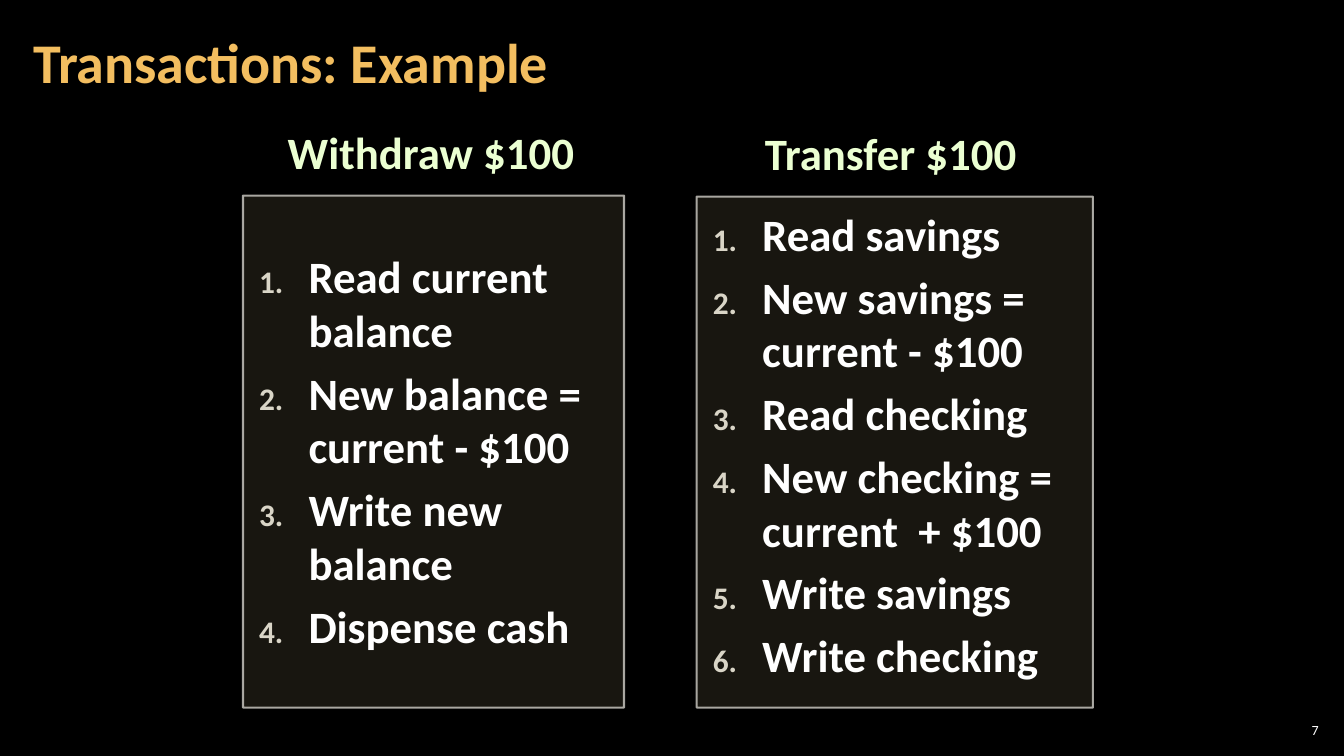
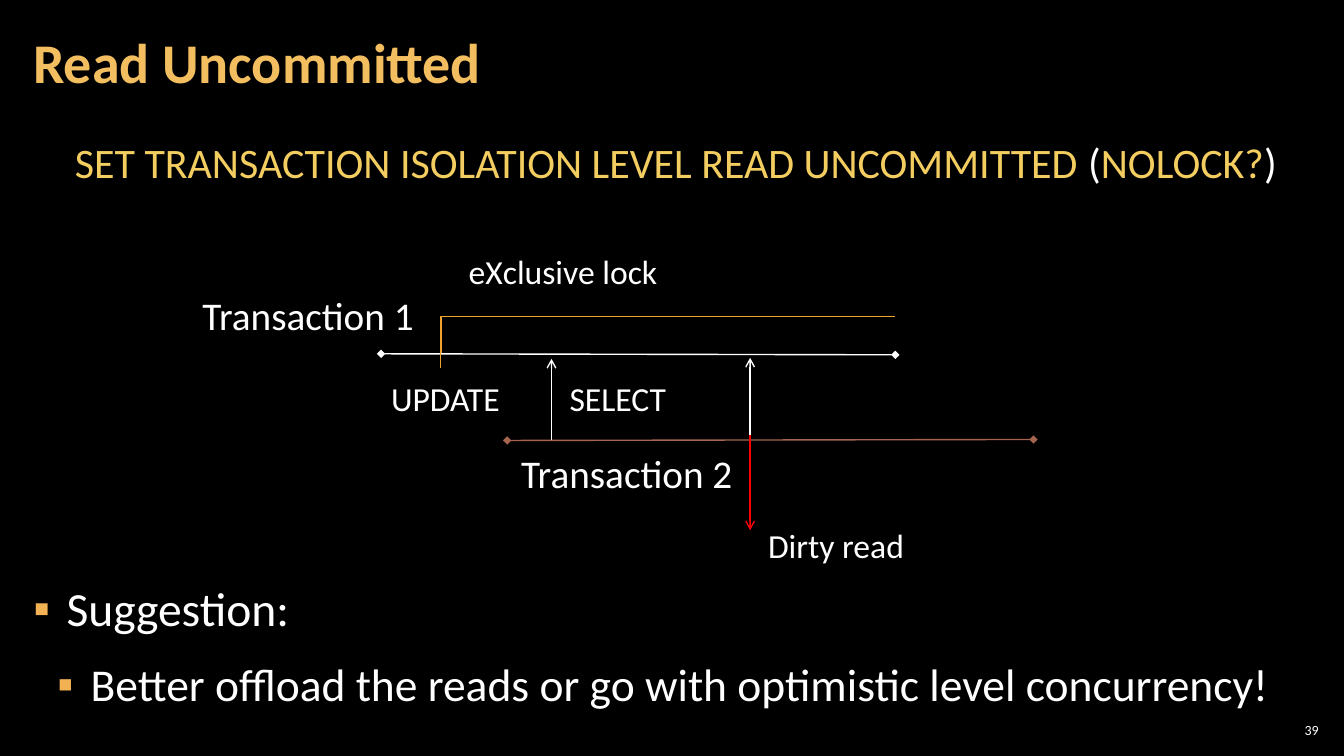
"""Build two dark slides on database transactions and isolation levels."""
from dataclasses import dataclass

from lxml.etree import SubElement
from pptx import Presentation
from pptx.dml.color import RGBColor
from pptx.enum.shapes import MSO_CONNECTOR
from pptx.enum.text import MSO_ANCHOR, MSO_AUTO_SIZE, PP_ALIGN
from pptx.oxml.ns import qn
from pptx.util import Pt

PX = 9144
LEFT, CENTER, RIGHT = PP_ALIGN.LEFT, PP_ALIGN.CENTER, PP_ALIGN.RIGHT
TOP, MIDDLE = MSO_ANCHOR.TOP, MSO_ANCHOR.MIDDLE
STRAIGHT, ELBOW = MSO_CONNECTOR.STRAIGHT, MSO_CONNECTOR.ELBOW
TWO_CONTENT, COMPARISON = 3, 4


@dataclass(frozen=True)
class Theme:
    font: str = "Calibri"
    back: str = "000000"
    text: str = "FFFFFF"
    title: str = "F3BE60"
    heading: str = "EBFFD2"
    keyword: str = "F3CD60"
    panel: str = "7C7154"
    border: str = "ECEAE3"
    number: str = "D9D5C7"
    bullet: str = "F2B254"
    lock: str = "F0A22E"
    second: str = "A5644E"
    dirty: str = "FF0000"
    title_pt: float = 40
    list_pt: float = 34
    sublist_pt: float = 32.5
    panel_pt: float = 32
    command_pt: float = 30
    name_pt: float = 28
    label_pt: float = 24
    page_pt: float = 10


T = Theme()
SNUG = (12, 4, 12, 4)


def add(parent, tag, **attrs):
    return SubElement(parent, qn(tag), attrs)


def put_text(shape, box, paras, size, color=T.text, bold=False, align=LEFT, anchor=TOP,
             ins=(10, 5, 10, 5), spacing=1.0, before=0, after=0, bullet=None,
             margins=(0,), hang=0):
    shape.left, shape.top, shape.width, shape.height = [v * PX for v in box]
    tf = shape.text_frame
    tf.word_wrap, tf.auto_size, tf.vertical_anchor = True, MSO_AUTO_SIZE.NONE, anchor
    tf.margin_left, tf.margin_top, tf.margin_right, tf.margin_bottom = [v * PX for v in ins]
    for i, text in enumerate(paras):
        p = tf.add_paragraph() if i else tf.paragraphs[0]
        p.text = text
        pPr = p._p.get_or_add_pPr()
        pPr.set("marL", str(margins[min(i, len(margins) - 1)] * PX))
        pPr.set("indent", str(-hang * PX))
        if bullet:
            bullet_color, percent, font, tag, attrs = bullet
            add(add(pPr, "a:buClr"), "a:srgbClr", val=bullet_color)
            add(pPr, "a:buSzPct", val=str(percent * 1000))
            add(pPr, "a:buFont", typeface=font)
            add(pPr, tag, **attrs)
        else:
            add(pPr, "a:buNone")
        p.alignment, p.line_spacing = align, spacing
        p.space_before, p.space_after = Pt(before if i else 0), Pt(after)
        p.font.name, p.font.size, p.font.bold = T.font, Pt(size), bold
        p.font.color.rgb = RGBColor.from_string(color)
    return tf


prs = Presentation()
prs.slide_width, prs.slide_height = 1333 * PX, 750 * PX
back = prs.slide_master.background.fill
back.solid()
back.fore_color.rgb = RGBColor.from_string(T.back)

slides = []
for layout, title, page in [(COMPARISON, "Transactions: Example", "7"),
                            (TWO_CONTENT, "Read Uncommitted", "39")]:
    s = prs.slides.add_slide(prs.slide_layouts[layout])
    put_text(s.shapes.title, (21, 4, 1047, 121), [title], T.title_pt, T.title, bold=True,
             anchor=MIDDLE, ins=SNUG, spacing=0.9)
    put_text(s.shapes.add_textbox(0, 0, 0, 0), (1265, 714, 47, 21), [page], T.page_pt,
             align=RIGHT, anchor=MIDDLE, ins=(4, 4, 4, 4))
    slides.append(s)
example, uncommitted = slides

panels = [
    ("Withdraw $100", (244, 117, 367, 77), (241, 194, 378, 508), MIDDLE,
     ["Read current balance", "New balance = \ncurrent - $100", "Write new balance",
      "Dispense cash"]),
    ("Transfer $100", (691, 118, 385, 77), (691, 195, 393, 507), TOP,
     ["Read savings", "New savings =\ncurrent - $100", "Read checking",
      "New checking =\ncurrent  + $100", "Write savings", "Write checking"]),
]
numbers = (T.number, 70, T.font, "a:buAutoNum", {"type": "arabicPeriod"})
bodies = list(example.placeholders)[1:]
for heading, panel, (name, name_box, box, anchor, steps) in zip(bodies[::2], bodies[1::2], panels):
    put_text(heading, name_box, [name], T.panel_pt, T.heading, bold=True, align=CENTER,
             ins=SNUG, spacing=1.05, after=6)
    put_text(panel, box, steps, T.panel_pt, bold=True, anchor=anchor, ins=(16, 10, 16, 12),
             before=6.4, bullet=numbers, margins=(49,), hang=49)
    panel.fill.solid()
    panel.fill.fore_color.rgb = RGBColor.from_string(T.panel)
    panel.line.color.rgb = RGBColor.from_string(T.border)
    panel.line.width = Pt(1.5)
    for color, opacity in zip(panel._element.spPr.iter(qn("a:srgbClr")), (20, 70)):
        add(color, "a:alpha", val=str(opacity * 1000))

command, advice = list(uncommitted.placeholders)[1:]
tf = put_text(command, (21, 126, 1291, 50), [""], T.command_pt, align=CENTER, ins=SNUG,
              spacing=1.1, margins=(17,))
for text, color in [("SET TRANSACTION ISOLATION LEVEL READ UNCOMMITTED ", T.keyword),
                    ("(", T.text), ("NOLOCK?", T.keyword), (") ", T.text)]:
    r = tf.paragraphs[0].add_run()
    r.text = text
    r.font.color.rgb = RGBColor.from_string(color)

squares = (T.bullet, 100, "Arial", "a:buChar", {"char": "▪"})
tf = put_text(advice, (33, 567, 1267, 138),
              ["Suggestion:", "Better offload the reads or go with optimistic level concurrency!"],
              T.list_pt, ins=(0, 5, 0, 5), spacing=1.05, before=6, after=6,
              bullet=squares, margins=(33, 57), hang=33)
p = tf.paragraphs[1]
p.level = 1
p.font.size = Pt(T.sublist_pt)

for kind, ends, color, width, head, tail in [
    (STRAIGHT, (378, 351, 888, 352), T.text, 1, "diamond", "diamond"),
    (STRAIGHT, (503, 437, 1025, 436), T.second, 1, "diamond", "diamond"),
    (STRAIGHT, (547, 437, 547, 356), T.text, 1, "none", "arrow"),
    (STRAIGHT, (437, 335, 437, 365), T.lock, 0.5, "none", "none"),
    (ELBOW, (438, 350, 888, 314), T.lock, 1, "none", "none"),
    (STRAIGHT, (744, 437, 744, 355), T.text, 1, "none", "arrow"),
    (STRAIGHT, (744, 432, 744, 526), T.dirty, 1, "none", "arrow"),
]:
    c = uncommitted.shapes.add_connector(kind, *[v * PX for v in ends])
    c.line.color.rgb = RGBColor.from_string(color)
    c.line.width = Pt(width)
    spPr = c._element.spPr
    ln = spPr.find(qn("a:ln"))
    add(ln, "a:headEnd", type=head)
    add(ln, "a:tailEnd", type=tail)
    add(spPr, "a:effectLst")
    if kind == ELBOW:
        add(next(spPr.iter(qn("a:avLst"))), "a:gd", name="adj1", fmla="val -100")

for text, box, size in [
    ("Transaction 1", (191, 284, 338, 57), T.name_pt),
    ("Transaction 2", (507, 441, 338, 57), T.name_pt),
    ("SELECT", (555, 370, 125, 50), T.label_pt),
    ("UPDATE", (378, 370, 158, 50), T.label_pt),
    ("eXclusive lock", (455, 244, 339, 50), T.label_pt),
    ("Dirty read", (752, 516, 170, 50), T.label_pt),
]:
    put_text(uncommitted.shapes.add_textbox(0, 0, 0, 0), box, [text], size)

prs.save("out.pptx")
